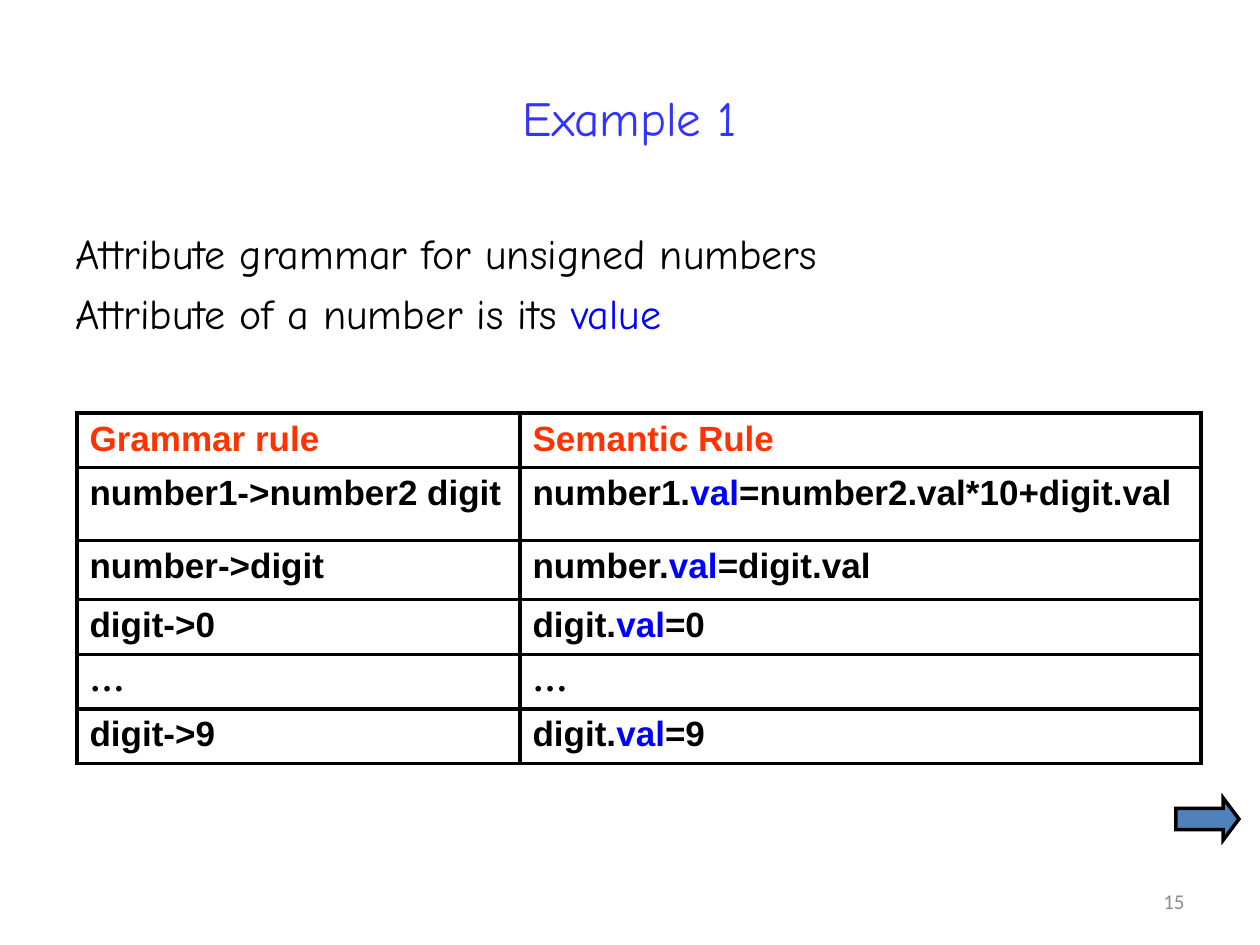
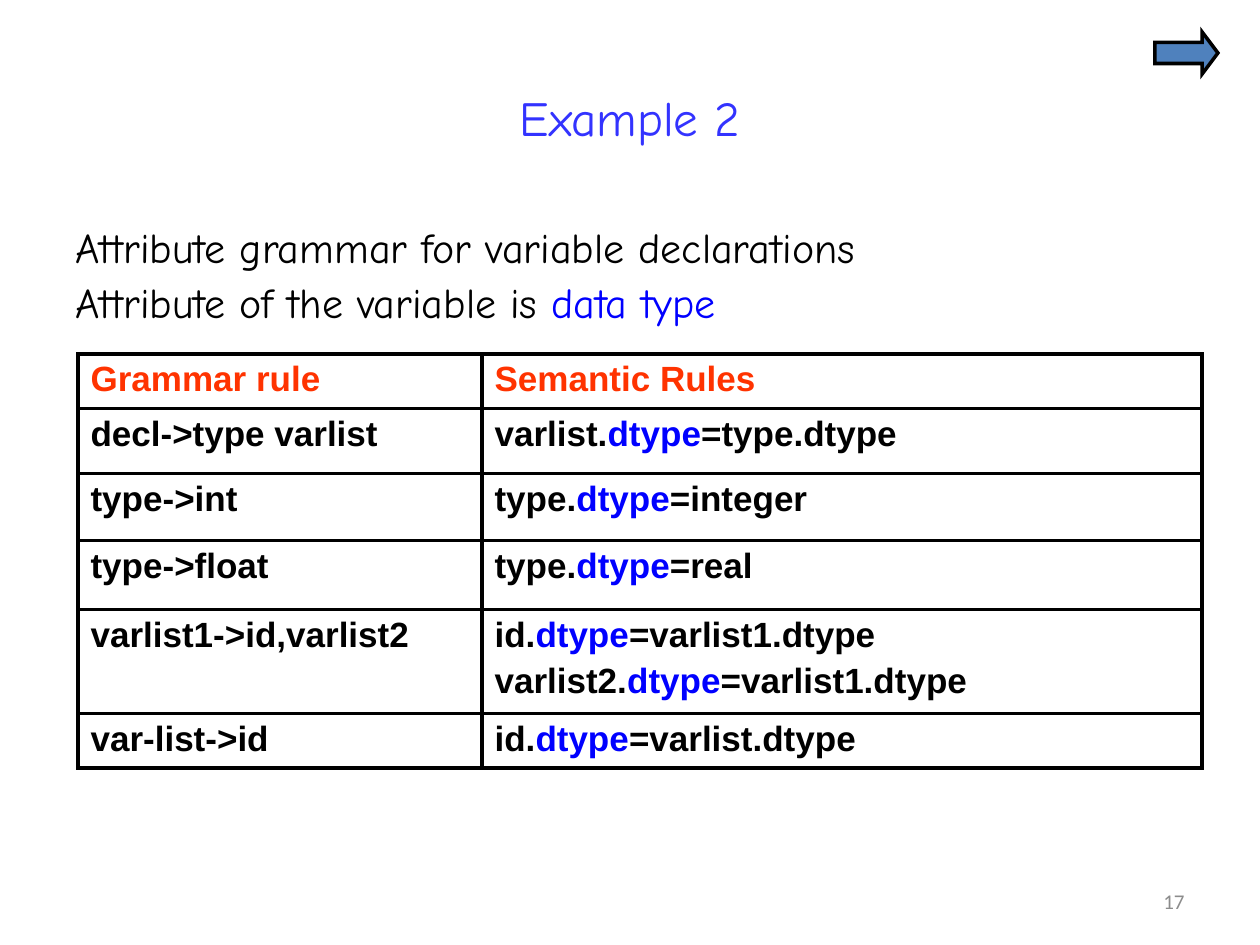
"""Build two slides with attribute grammar examples."""
from lxml.etree import SubElement
from pptx import Presentation
from pptx.dml.color import RGBColor
from pptx.enum.shapes import MSO_SHAPE as Shape
from pptx.enum.text import MSO_ANCHOR as Anchor, PP_ALIGN as Align
from pptx.oxml.ns import qn
from pptx.util import Emu, Pt


def color(value):
    return RGBColor.from_string(value)


def write(para, text, font, size, ink, accent=None, bold=False, align=Align.LEFT):
    para.alignment = align
    before, marked, after = text.partition(accent) if accent else (text, "", "")
    for words, tint in ((before, ink), (marked, ACCENT), (after, ink)):
        if words:
            span = para.add_run()
            span.text = words
            span.font.name = font
            span.font.size = Pt(size)
            span.font.bold = bold
            span.font.color.rgb = color(tint)


PX = 914400 / 126
TITLE, ACCENT, HEADER, INK = "3333FF", "0000FF", "FF3300", "000000"
ARROW, GREY, WHITE = "4F81BD", "8C8C8C", "FFFFFF"
HEADING, CODE, NUMBER, DOTS = "Comic Neue", "Arial", "Calibri", "Times New Roman"

EXAMPLES = [
    dict(title="Example 1", number="15", spacing=1.0, arrow=(1176, 798),
         lines=["Attribute grammar for unsigned numbers",
                "Attribute of a number is its value"],
         topic="value", attribute="val", table=(77, 413),
         columns=(443, 681), heights=(52, 73, 59, 52, 51, 51),
         rules=[("Grammar rule", "Semantic Rule"),
                ("number1->number2 digit", "number1.val=number2.val*10+digit.val"),
                ("number->digit", "number.val=digit.val"),
                ("digit->0", "digit.val=0"),
                ("…", "…"),
                ("digit->9", "digit.val=9")]),
    dict(title="Example 2", number="17", spacing=0.9, arrow=(1155, 32),
         lines=["Attribute grammar for variable declarations",
                "Attribute of the variable is data type"],
         topic="data type", attribute="dtype", table=(78, 354),
         columns=(404, 720), heights=(52, 65, 67, 69, 98, 52),
         rules=[("Grammar rule", "Semantic Rules"),
                ("decl->type varlist", "varlist.dtype=type.dtype"),
                ("type->int", "type.dtype=integer"),
                ("type->float", "type.dtype=real"),
                ("varlist1->id,varlist2",
                 "id.dtype=varlist1.dtype\nvarlist2.dtype=varlist1.dtype"),
                ("var-list->id", "id.dtype=varlist.dtype")]),
]

deck = Presentation()
deck.slide_width, deck.slide_height = Emu(round(1260 * PX)), Emu(round(945 * PX))

for example in EXAMPLES:
    page = deck.slides.add_slide(deck.slide_layouts[6])
    frames = []
    for area, anchor in (((63, 38, 1134, 158), Anchor.MIDDLE),
                         ((63, 221, 1134, 180), Anchor.TOP),
                         ((903, 876, 294, 50), Anchor.MIDDLE)):
        box = page.shapes.add_textbox(*[Emu(round(side * PX)) for side in area])
        box.text_frame.word_wrap = True
        box.text_frame.vertical_anchor = anchor
        frames.append(box.text_frame)
    title, body, footer = frames
    write(title.paragraphs[0], example["title"], HEADING, 28, TITLE, align=Align.CENTER)
    write(footer.paragraphs[0], example["number"], NUMBER, 12, GREY, align=Align.RIGHT)
    for index, line in enumerate(example["lines"]):
        para = body.add_paragraph() if index else body.paragraphs[0]
        para.line_spacing = example["spacing"]
        para.space_before = Pt(5.6 if index else 0)
        write(para, line, HEADING, 24, INK, example["topic"])

    rules, columns, heights = example["rules"], example["columns"], example["heights"]
    area = (*example["table"], sum(columns), sum(heights))
    table = page.shapes.add_table(len(rules), len(columns),
                                  *[Emu(round(side * PX)) for side in area]).table
    table.first_row = table.horz_banding = False
    for column, width in zip(table.columns, columns):
        column.width = Emu(round(width * PX))
    for row, height, texts in zip(table.rows, heights, rules):
        row.height = Emu(round(height * PX))
        ink = HEADER if texts == rules[0] else INK
        for cell, text in zip(row.cells, texts):
            properties = cell._tc.get_or_add_tcPr()
            for edge in ("a:lnL", "a:lnR", "a:lnT", "a:lnB"):
                border = SubElement(properties, qn(edge), w=str(Pt(2.25)))
                SubElement(SubElement(border, qn("a:solidFill")), qn("a:srgbClr"), val=INK)
            cell.fill.solid()
            cell.fill.fore_color.rgb = color(WHITE)
            font = DOTS if text == "…" else CODE
            for index, line in enumerate(text.split("\n")):
                para = cell.text_frame.add_paragraph() if index else cell.text_frame.paragraphs[0]
                para.space_before = Pt(4 if index else 0)
                write(para, line, font, 20, ink, example["attribute"], bold=True)

    area = (*example["arrow"], 63, 42)
    arrow = page.shapes.add_shape(Shape.RIGHT_ARROW, *[Emu(round(side * PX)) for side in area])
    arrow.shadow.inherit = False
    arrow.adjustments[0], arrow.adjustments[1] = 0.5, 0.375
    arrow.fill.solid()
    arrow.fill.fore_color.rgb = color(ARROW)
    arrow.line.color.rgb = color(INK)
    arrow.line.width = Pt(2)
    SubElement(arrow.line._get_or_add_ln(), qn("a:miter"), lim="800000")

deck.save("out.pptx")
